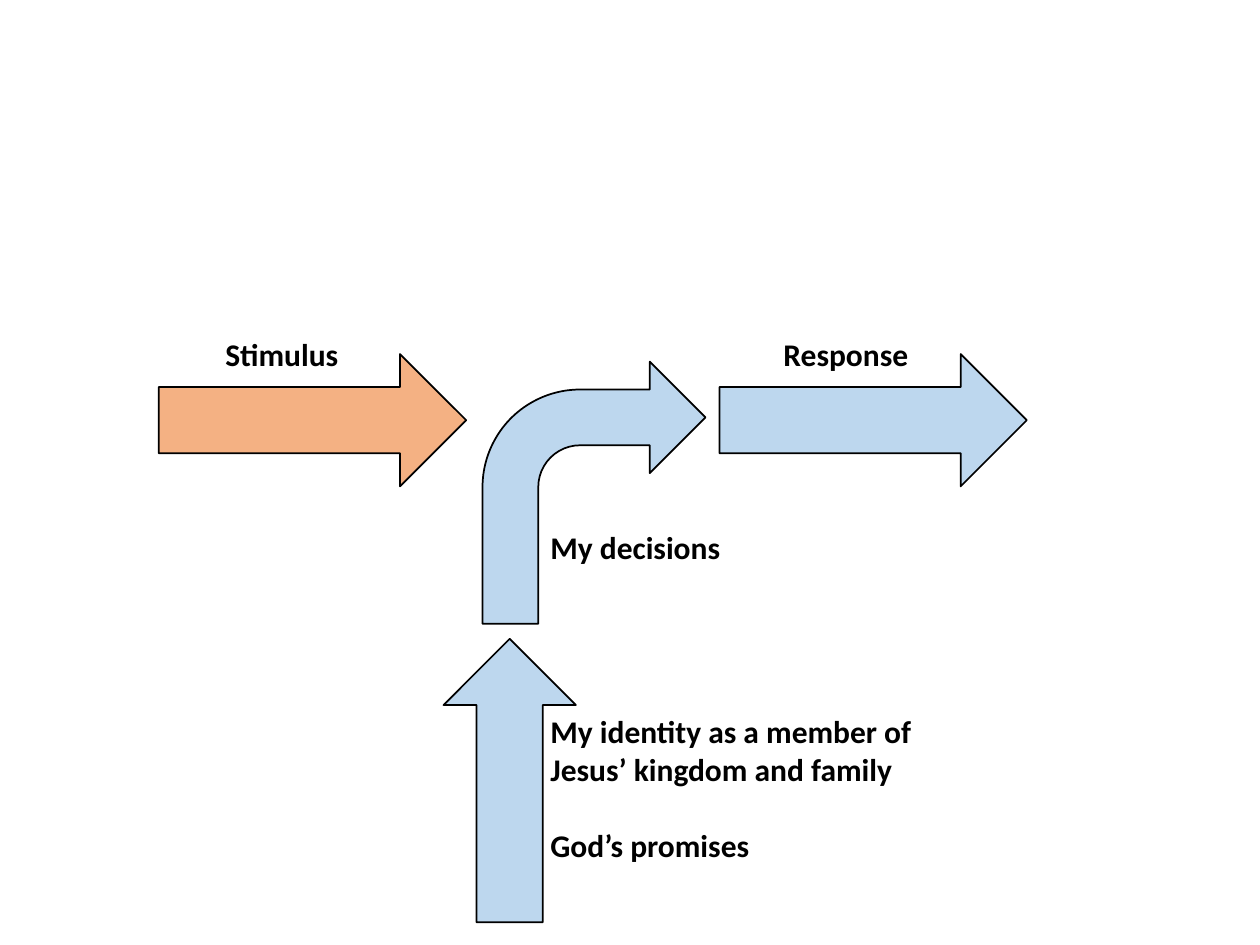
from collections import namedtuple

from pptx import Presentation
from pptx.dml.color import RGBColor
from pptx.enum.shapes import MSO_SHAPE as Preset
from pptx.enum.text import MSO_ANCHOR as Anchor, PP_ALIGN as Align
from pptx.util import Inches, Pt

Box = namedtuple("Box", "left top width height")

COLORS = {"stimulus": "F4B183", "response": "BDD7EE", "ink": "000000"}
FONT = {"name": "Calibri", "size": Pt(18), "bold": True}
FRAME = {"word_wrap": True, "vertical_anchor": Anchor.TOP}
GRID_UNIT = Inches(0.1)
COLUMNS, ROWS = 100, 75
LINE_GAP = Pt(22)
ARROW_SIZE = (24.4, 10.5)
ARROW_TOP = 28.1


def set_all(target, values):
    """Set every attribute in values on target."""
    for name, value in values.items():
        setattr(target, name, value)


def to_lengths(box):
    """Turn a box in grid units into slide lengths."""
    return [round(value * GRID_UNIT) for value in box]


def add_label(slide, box, lines):
    """Place bold text, with one empty line's gap between paragraphs."""
    frame = slide.shapes.add_textbox(*to_lengths(box)).text_frame
    set_all(frame, FRAME)
    for index, line in enumerate(lines):
        paragraph = frame.add_paragraph() if index else frame.paragraphs[0]
        set_all(paragraph, {"text": line, "alignment": Align.LEFT,
                            "space_before": LINE_GAP if index else Pt(0)})
        set_all(paragraph.font, FONT)
        paragraph.font.color.rgb = RGBColor.from_string(COLORS["ink"])


def add_labelled_arrow(slide, box, label_box, lines, color="response",
                       preset=Preset.RIGHT_ARROW, rotation=0):
    """Draw an arrow in box and its label, offset from the box's corner."""
    arrow = slide.shapes.add_shape(preset, *to_lengths(box))
    arrow.rotation = rotation
    arrow.shadow.inherit = False
    arrow.fill.solid()
    arrow.fill.fore_color.rgb = RGBColor.from_string(COLORS[color])
    arrow.line.color.rgb = RGBColor.from_string(COLORS["ink"])
    arrow.line.width = Pt(1)
    label = label_box._replace(left=box.left + label_box.left,
                               top=box.top + label_box.top)
    add_label(slide, label, lines)


def build_decision_flow(slide):
    """Lay out the stimulus, the response and what lies between them."""
    add_labelled_arrow(slide, Box(12.6, ARROW_TOP, *ARROW_SIZE),
                       Box(4.3, -2, 11.3, 4), ["Stimulus"], color="stimulus")
    add_labelled_arrow(slide, Box(57.1, ARROW_TOP, *ARROW_SIZE),
                       Box(4.1, -2, 13.4, 4), ["Response"])
    add_labelled_arrow(slide, Box(38.3, 28.7, 17.7, 20.8),
                       Box(4.4, 12.7, 17, 4), ["My decisions"],
                       preset=Preset.BENT_ARROW)
    add_labelled_arrow(slide, Box(29.2, 56.7, 22.5, 10.5),
                       Box(13.5, -0.7, 30.8, 13.1),
                       ["My identity as a member of Jesus’ kingdom and family",
                        "God’s promises"], rotation=270)


def main():
    """Build and save the presentation."""
    presentation = Presentation()
    set_all(presentation, {"slide_width": COLUMNS * GRID_UNIT,
                           "slide_height": ROWS * GRID_UNIT})
    slide = presentation.slides.add_slide(presentation.slide_layouts[6])
    build_decision_flow(slide)
    presentation.save("out.pptx")


if __name__ == "__main__":
    main()
